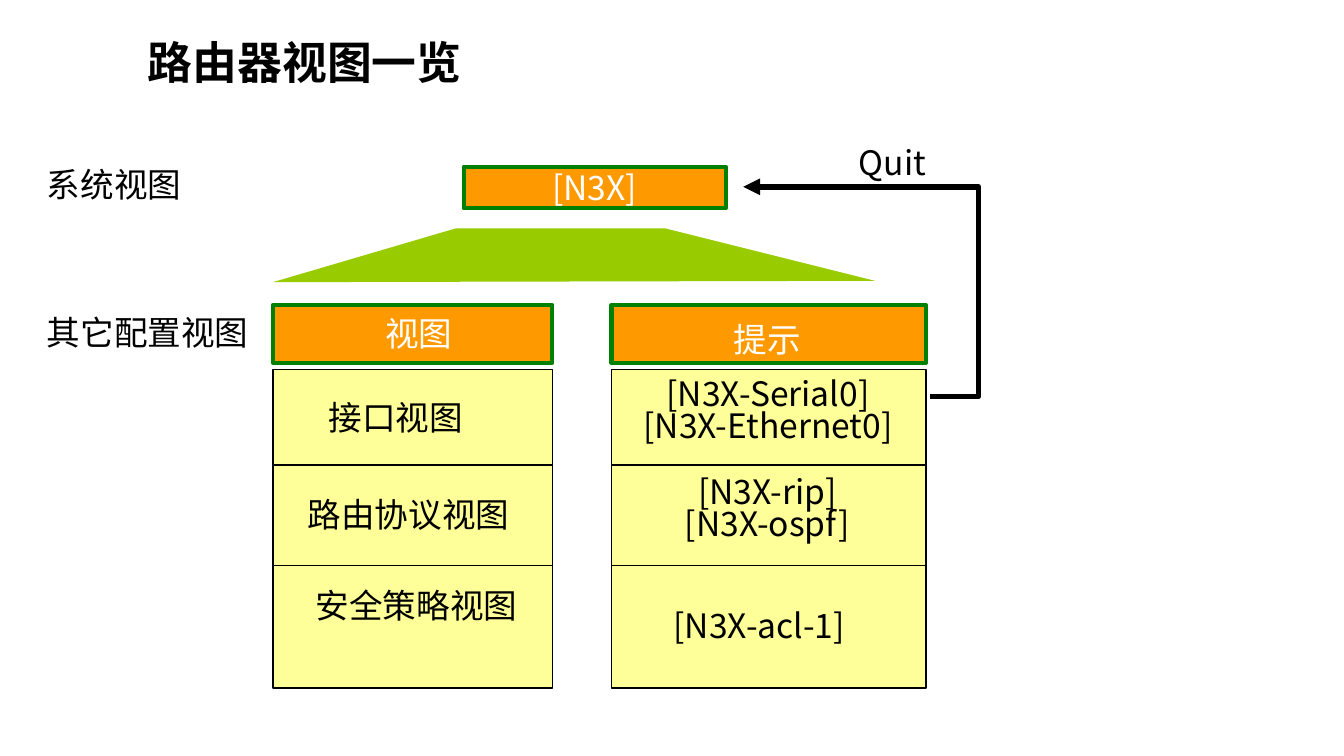
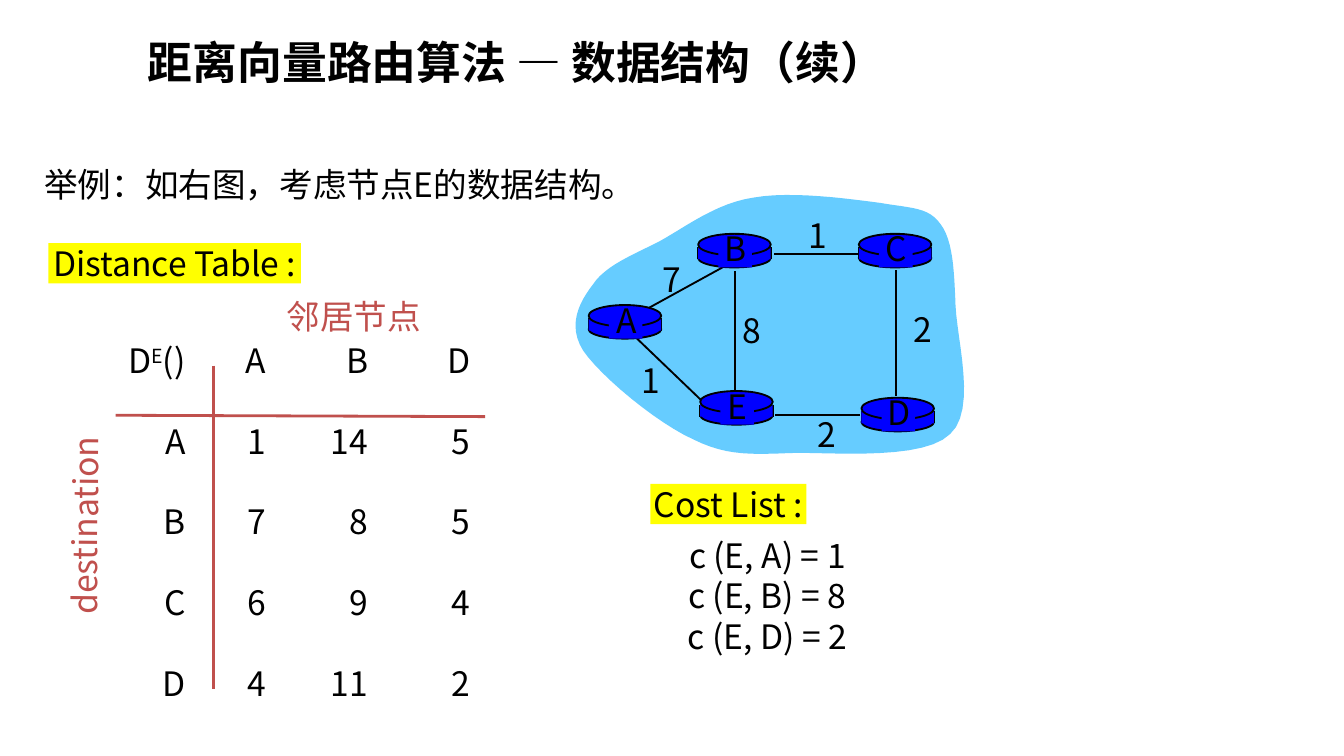
from dataclasses import dataclass
from typing import NamedTuple

from lxml.etree import SubElement
from pptx import Presentation
from pptx.dml.color import RGBColor
from pptx.enum.shapes import MSO_CONNECTOR, MSO_SHAPE
from pptx.enum.text import MSO_ANCHOR, MSO_AUTO_SIZE, PP_ALIGN
from pptx.oxml.ns import qn
from pptx.util import Inches, Pt

FONT = "Noto Sans CJK SC"
BLACK = RGBColor(0, 0, 0)
WHITE = RGBColor(0xFF, 0xFF, 0xFF)
ORANGE = RGBColor(0xFF, 0x99, 0x00)
GREEN = RGBColor(0x00, 0x80, 0x00)
LIME = RGBColor(0x99, 0xCC, 0x00)
CREAM = RGBColor(0xFF, 0xFF, 0x99)
YELLOW = RGBColor(0xFF, 0xFF, 0x00)
BLUE = RGBColor(0x00, 0x00, 0xFF)
SKY = RGBColor(0x66, 0xCC, 0xFF)
RED = RGBColor(0xC0, 0x50, 0x4D)

# All places are counted in grid units: 100 columns across the slide.
SLIDE_COLUMNS, SLIDE_ROWS = 100, 56.25
UNIT = Inches(0.1)


class Point(NamedTuple):
    x: float
    y: float


class Box(NamedTuple):
    left: float
    top: float
    width: float
    height: float


class Outline(NamedTuple):
    color: RGBColor
    points: float


class Insets(NamedTuple):
    horizontal: float = 1
    vertical: float = 0.5


@dataclass(frozen=True)
class TextStyle:
    color: RGBColor = BLACK
    size: int = 18
    bold: bool = False
    align: PP_ALIGN = PP_ALIGN.LEFT
    line_spacing: float | Pt = 1.0
    insets: Insets = Insets()
    anchor: MSO_ANCHOR = MSO_ANCHOR.TOP
    wrap: bool = False


@dataclass(frozen=True)
class ViewCell:
    text: str
    label: Box


@dataclass(frozen=True)
class ViewColumn:
    left: float
    width: float
    cells: tuple[ViewCell, ...]


@dataclass(frozen=True)
class Link:
    start: Point
    end: Point
    cost: str
    label: Point


PLAIN = TextStyle()
CENTERED = TextStyle(align=PP_ALIGN.CENTER)
TIGHT = TextStyle(align=PP_ALIGN.CENTER, insets=Insets(0, 0))
TITLE = TextStyle(size=24, bold=True, anchor=MSO_ANCHOR.MIDDLE, wrap=True)
BODY = TextStyle(wrap=True)
THIN = Outline(BLACK, 1)
CELL_LINE = Outline(BLACK, 0.75)
HEADER_LINE = Outline(GREEN, 2.25)
AXIS = Outline(RED, 1.5)

ROUTER_NAME = "N3X"
VIEW_ROW_EDGES = (22.7, 27.5, 34.6, 42.1, 51.2)
HEADER_HEIGHT = 4.3
VIEW_COLUMNS = (
    ViewColumn(20.3, 20.8, (
        ViewCell("视图", Box(22.7, 23.3, 16.9, 3.7)),
        ViewCell("接口视图", Box(20.7, 29.5, 17.5, 3.7)),
        ViewCell("路由协议视图", Box(21.2, 36.7, 18.4, 3.7)),
        ViewCell("安全策略视图", Box(21.2, 43.5, 19.6, 6.1)))),
    ViewColumn(45.5, 23.4, (
        ViewCell("提示", Box(51.2, 23.7, 11.8, 3.7)),
        ViewCell(f"[{ROUTER_NAME}-Serial0]\n[{ROUTER_NAME}-Ethernet0]",
                 Box(46.1, 27.7, 22.1, 6.1)),
        ViewCell(f"[{ROUTER_NAME}-rip]\n[{ROUTER_NAME}-ospf]", Box(46.8, 35, 20.6, 6.1)),
        ViewCell(f"[{ROUTER_NAME}-acl-1]", Box(45.8, 45, 21.4, 3.7)))),
)

ROUTERS = {"A": Point(43.8, 22.7), "B": Point(51.95, 17.4), "C": Point(63.9, 17.4),
           "D": Point(64.1, 29.6), "E": Point(52.1, 29.1)}
LINKS = (
    Link(Point(48.3, 22.9), Point(54.3, 19.6), "7", Point(48.2, 18.8)),
    Link(Point(54.7, 20.2), Point(54.7, 29.5), "8", Point(54.2, 22.6)),
    Link(Point(52.2, 29.8), Point(47.4, 25.2), "1", Point(46.7, 26.3)),
    Link(Point(64, 30.9), Point(57.7, 30.9), "2", Point(59.8, 30.3)),
    Link(Point(63.9, 18.9), Point(57.6, 18.9), "1", Point(59.1, 15.5)),
    Link(Point(66.7, 20.1), Point(66.7, 29.5), "2", Point(66.9, 22.5)),
)
CLOUD_START = Point(44.1, 21.2)
CLOUD_CURVES = (
    (Point(45, 19.8), Point(47, 19), Point(49, 18)),
    (Point(51, 16.9), Point(53.3, 15.1), Point(56.1, 14.7)),
    (Point(58.9, 14.2), Point(63.2, 14.8), Point(65.5, 15.1)),
    (Point(67.8, 15.5), Point(69.1, 15.4), Point(70, 16.7)),
    (Point(70.9, 17.9), Point(71, 20.1), Point(71.1, 22.7)),
    (Point(71.2, 25.3), Point(72.7, 30.5), Point(70.7, 32.3)),
    (Point(68.8, 34.2), Point(62.5, 33.7), Point(59.3, 33.7)),
    (Point(56.1, 33.8), Point(54.2, 34), Point(51.6, 32.7)),
    (Point(48.9, 31.5), Point(44.7, 28), Point(43.4, 26.1)),
    (Point(42.2, 24.2), Point(43.1, 22.5), CLOUD_START),
)
DISTANCES = (
    ("DE()", "A", "B", "D"),
    ("A", "1", "14", "5"),
    ("B", "7", "8", "5"),
    ("C", "6", "9", "4"),
    ("D", "4", "11", "2"),
)
DISTANCE_WIDTHS = (6.2, 6, 7.6, 7.6)
DISTANCE_ROW = 6


def grid(value: float) -> int:
    """Turn grid units into a length."""
    return round(value * UNIT)


def place(box: Box) -> tuple[int, ...]:
    return tuple(grid(value) for value in box)


def format_paragraphs(text_frame, style: TextStyle) -> None:
    for paragraph in text_frame.paragraphs:
        paragraph.alignment = style.align
        paragraph.line_spacing = style.line_spacing
        paragraph.space_before = Pt(0)
        for run in paragraph.runs:
            run.font.name = FONT
            run.font.size = Pt(style.size)
            run.font.bold = style.bold
            run.font.color.rgb = style.color
            SubElement(run.font._element, qn("a:ea"), typeface=FONT)


def write(shape, text: str, style: TextStyle) -> None:
    text_frame = shape.text_frame
    text_frame.text = text
    text_frame.word_wrap = style.wrap
    text_frame.auto_size = MSO_AUTO_SIZE.NONE
    text_frame.vertical_anchor = style.anchor
    text_frame.margin_left = text_frame.margin_right = grid(style.insets.horizontal)
    text_frame.margin_top = text_frame.margin_bottom = grid(style.insets.vertical)
    format_paragraphs(text_frame, style)


def fill_placeholder(placeholder, box: Box, text: str, style: TextStyle) -> None:
    placeholder.left, placeholder.top, placeholder.width, placeholder.height = place(box)
    write(placeholder, text, style)


def add_text(slide, box: Box, text: str, style: TextStyle = PLAIN):
    shape = slide.shapes.add_textbox(*place(box))
    write(shape, text, style)
    return shape


def paint(shape, fill: RGBColor | None, outline: Outline | None) -> None:
    shape.shadow.inherit = False
    if fill is None:
        shape.fill.background()
    else:
        shape.fill.solid()
        shape.fill.fore_color.rgb = fill
    if outline is None:
        shape.line.fill.background()
    else:
        shape.line.color.rgb = outline.color
        shape.line.width = Pt(outline.points)


def add_block(slide, box: Box, fill: RGBColor, outline: Outline | None = None,
              kind: MSO_SHAPE = MSO_SHAPE.RECTANGLE):
    shape = slide.shapes.add_shape(kind, *place(box))
    paint(shape, fill, outline)
    return shape


def add_line(slide, start: Point, end: Point, outline: Outline) -> None:
    line = slide.shapes.add_connector(MSO_CONNECTOR.STRAIGHT, *place((*start, *end)))
    line.line.color.rgb = outline.color
    line.line.width = Pt(outline.points)
    SubElement(line._element.spPr, qn("a:effectLst"))


def add_outline(slide, points: list[Point], fill: RGBColor | None = None,
                outline: Outline | None = None):
    """Draw a freeform, closed when it has a fill."""
    first, *others = [place(point) for point in points]
    builder = slide.shapes.build_freeform(*first)
    builder.add_line_segments(others, close=fill is not None)
    shape = builder.convert_to_shape()
    paint(shape, fill, outline)
    return shape


def curve_points(start: Point, curves: tuple, steps: int = 12) -> list[Point]:
    """Sample a chain of cubic curves."""
    points = [start]
    for first, second, end in curves:
        for step in range(1, steps + 1):
            t = step / steps
            weights = ((1 - t) ** 3, 3 * t * (1 - t) ** 2, 3 * t * t * (1 - t), t ** 3)
            corners = (start, first, second, end)
            points.append(Point(*(sum(w * c for w, c in zip(weights, axis))
                                  for axis in zip(*corners))))
        start = end
    return points


def add_router(slide, name: str, corner: Point) -> None:
    x, y = corner
    add_block(slide, Box(x, y + 1.1, 5.4, 1.4), BLUE, THIN, MSO_SHAPE.OVAL)
    for side in (x, x + 5.4):
        add_line(slide, Point(side, y + 1), Point(side, y + 1.9), THIN)
    add_block(slide, Box(x, y + 1, 5.4, 0.9), BLUE)
    add_block(slide, Box(x, y, 5.4, 1.6), BLUE, THIN, MSO_SHAPE.OVAL)
    add_block(slide, Box(x + 1.5, y + 0.2, 2.5, 2.3), BLUE)
    add_text(slide, Box(x + 0.9, y - 0.9, 3.8, 4), name, CENTERED)


def add_distance_table(slide) -> None:
    box = Box(8.6, 23.7, sum(DISTANCE_WIDTHS), DISTANCE_ROW * len(DISTANCES))
    table = slide.shapes.add_table(len(DISTANCES), len(DISTANCE_WIDTHS), *place(box)).table
    table.first_row = table.horz_banding = False
    for column, width in zip(table.columns, DISTANCE_WIDTHS):
        column.width = grid(width)
    for row, values in enumerate(DISTANCES):
        for column, value in enumerate(values):
            cell = table.cell(row, column)
            cell.fill.background()
            cell.vertical_anchor = MSO_ANCHOR.MIDDLE
            cell.margin_left = cell.margin_top = cell.margin_bottom = 0
            cell.margin_right = grid(1)
            cell.text_frame.text = value
            if row == column == 0:
                paragraph = cell.text_frame.paragraphs[0]
                paragraph.text = value[0]
                for part in (value[1], value[2:]):
                    paragraph.add_run().text = part
                paragraph.runs[1].font._element.set("baseline", "30000")
            format_paragraphs(cell.text_frame, TextStyle(align=PP_ALIGN.RIGHT))


def build_views(presentation) -> None:
    slide = presentation.slides.add_slide(presentation.slide_layouts[5])
    fill_placeholder(slide.shapes.title, Box(10, 2.1, 53.3, 5), "路由器视图一览", TITLE)
    add_outline(slide, [Point(33.9, 17), Point(20.3, 21), Point(65.1, 20.9),
                        Point(49.5, 17)], LIME)
    loop = add_outline(slide, [Point(55.3, 13.9), Point(72.8, 13.9), Point(72.8, 29.5),
                               Point(69.2, 29.5)], outline=Outline(BLACK, 3))
    SubElement(loop.line._get_or_add_ln(), qn("a:headEnd"), type="triangle")
    add_text(slide, Box(63.6, 10.9, 7, 1.9), "Quit",
             TextStyle(line_spacing=Pt(15.8), insets=Insets(0.3, 0.5)))
    system = add_block(slide, Box(34.5, 12.4, 19.5, 3.1), ORANGE, HEADER_LINE)
    write(system, f"[{ROUTER_NAME}]",
          TextStyle(WHITE, align=PP_ALIGN.CENTER, anchor=MSO_ANCHOR.MIDDLE))
    add_text(slide, Box(2.5, 11.7, 13.9, 4), "系统视图")
    add_text(slide, Box(2.5, 22.7, 17.8, 4), "其它配置视图")
    for column in VIEW_COLUMNS:
        for row, cell in enumerate(column.cells):
            top, bottom = VIEW_ROW_EDGES[row:row + 2]
            header = row == 0
            height = HEADER_HEIGHT if header else bottom - top
            add_block(slide, Box(column.left, top, column.width, height),
                      ORANGE if header else CREAM, HEADER_LINE if header else CELL_LINE)
            add_text(slide, cell.label, cell.text,
                     TextStyle(WHITE if header else BLACK, align=PP_ALIGN.CENTER,
                               line_spacing=0.8, insets=Insets(1.3, 0.6), wrap=True))


def build_distance_vector(presentation) -> None:
    slide = presentation.slides.add_slide(presentation.slide_layouts[1])
    fill_placeholder(slide.shapes.title, Box(10, 2.1, 63.4, 5),
                     "距离向量路由算法 — 数据结构（续）", TITLE)
    body = slide.placeholders[1]
    fill_placeholder(body, Box(2.3, 11.7, 72.7, 5.5),
                     "举例：如右图，考虑节点E的数据结构。", BODY)
    properties = body.text_frame.paragraphs[0]._p.get_or_add_pPr()
    properties.set("marL", "0")
    properties.set("indent", "0")
    SubElement(properties, qn("a:buNone"))

    add_outline(slide, curve_points(CLOUD_START, CLOUD_CURVES), SKY)
    for link in LINKS:
        add_line(slide, link.start, link.end, THIN)
    for name, corner in ROUTERS.items():
        add_router(slide, name, corner)
    for link in LINKS:
        add_text(slide, Box(*link.label, 3.5, 4), link.cost, CENTERED)

    add_distance_table(slide)
    add_line(slide, Point(8.6, 30.9), Point(36.1, 31), AXIS)
    add_line(slide, Point(15.9, 27.2), Point(15.9, 51.3), AXIS)
    axis_label = TextStyle(RED, align=PP_ALIGN.RIGHT)
    add_text(slide, Box(20.2, 21.5, 12.1, 4), "邻居节点", axis_label)
    add_text(slide, Box(-1.5, 37.3, 15.6, 4), "destination", axis_label).rotation = 270.6
    for box, caption in ((Box(3.6, 18.1, 18.8, 3), "Distance Table :"),
                         (Box(48.4, 36, 11.6, 3), "Cost List :")):
        write(add_block(slide, box, YELLOW), caption, TIGHT)
    add_text(slide, Box(50.5, 39.8, 13.2, 9.1),
             "c (E, A) = 1\nc (E, B) = 8\nc (E, D) = 2", TIGHT)


def main() -> None:
    presentation = Presentation()
    presentation.slide_width = grid(SLIDE_COLUMNS)
    presentation.slide_height = grid(SLIDE_ROWS)
    build_views(presentation)
    build_distance_vector(presentation)
    presentation.save("out.pptx")


if __name__ == "__main__":
    main()
